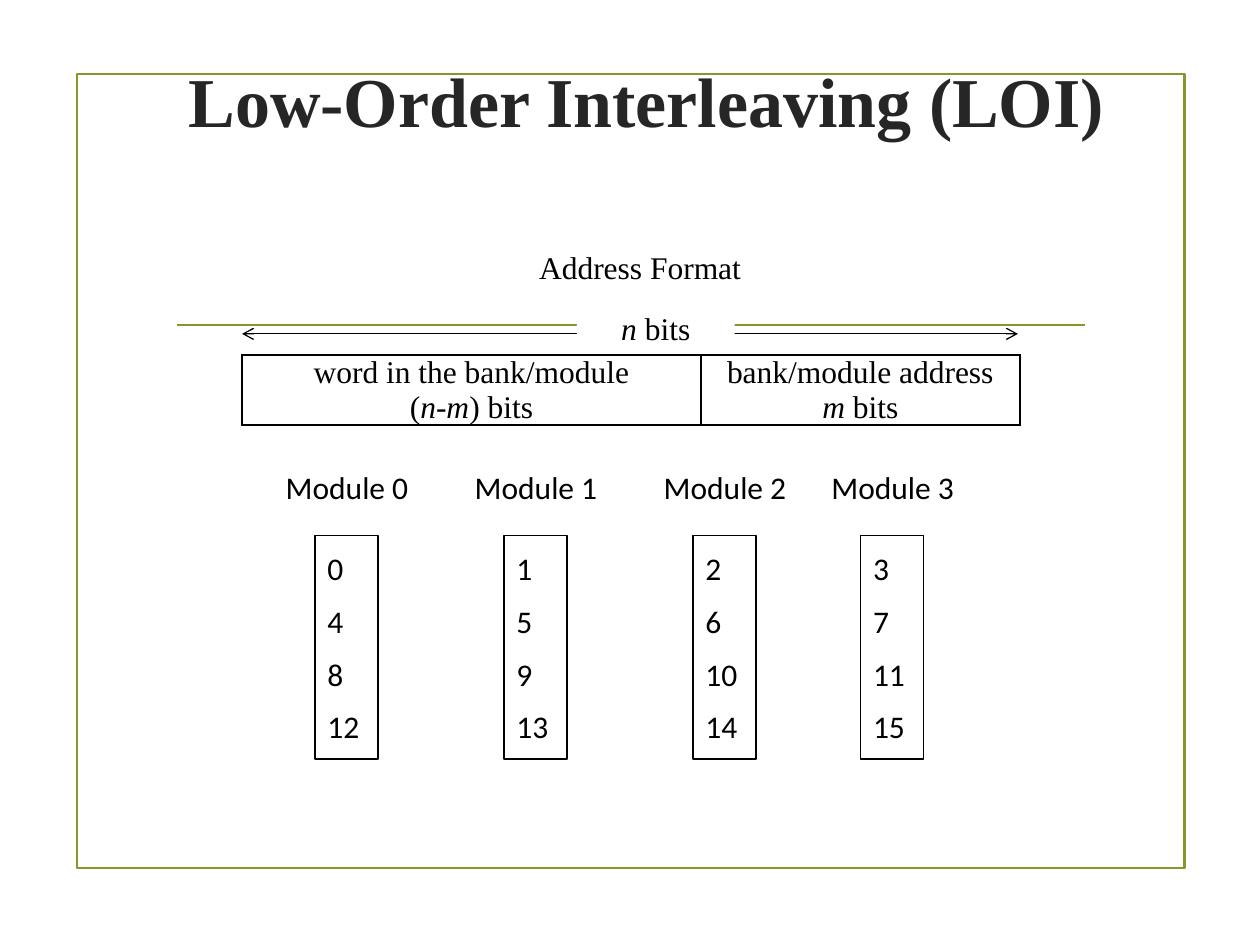
from lxml.etree import SubElement
from pptx import Presentation
from pptx.dml.color import RGBColor
from pptx.enum.shapes import MSO_CONNECTOR, MSO_SHAPE
from pptx.enum.text import MSO_ANCHOR, PP_ALIGN
from pptx.oxml import parse_xml
from pptx.oxml.ns import nsdecls, qn
from pptx.util import Cm, Pt

GREEN, BLACK, WHITE, DARK = "83992A", "000000", "FFFFFF", "262626"
SERIF, SANS = "Times New Roman", "Calibri"


def color(hex_value):
    return RGBColor.from_string(hex_value)


def write(frame, lines, face, align, gap=0):
    for number, line in enumerate(lines):
        paragraph = frame.paragraphs[0] if number == 0 else frame.add_paragraph()
        paragraph.alignment = align
        paragraph.space_before = Pt(gap)
        for words, italic in line:
            run = paragraph.add_run()
            run.text = words
            for key, value in {"name": face, "size": Pt(18), "italic": italic}.items():
                setattr(run.font, key, value)
            run.font.color.rgb = color(BLACK)


deck = Presentation()
deck.slide_width, deck.slide_height = Cm(25.4), Cm(19.05)
slide = deck.slides.add_slide(deck.slide_layouts[5])
shapes = slide.shapes

border = shapes.add_shape(MSO_SHAPE.RECTANGLE, Cm(1.55), Cm(1.5), Cm(22.33), Cm(16))
border.shadow.inherit = False
border.fill.background()
border.line.color.rgb = color(GREEN)
border.line.width = Pt(1.25)

rules = {}
for role, left, right, height, hue, weight in [
    ("divider", 3.56, 21.87, 6.55, GREEN, 1.25),
    ("address span", 4.88, 20.52, 6.73, BLACK, 0.75),
]:
    rule = shapes.add_connector(MSO_CONNECTOR.STRAIGHT, Cm(left), Cm(height), Cm(right), Cm(height))
    rule.line.color.rgb = color(hue)
    rule.line.width = Pt(weight)
    SubElement(rule._element.spPr, qn("a:effectLst"))
    rules[role] = rule
for end in ("headEnd", "tailEnd"):
    SubElement(rules["address span"].line._get_or_add_ln(), qn(f"a:{end}"), type="arrow")

title = shapes.title
for key, value in {"left": Cm(1.7), "top": Cm(0.64), "width": Cm(22.66), "height": Cm(2.74)}.items():
    setattr(title, key, value)
title.text_frame.text = "Low-Order Interleaving (LOI)"
title.text_frame.vertical_anchor = MSO_ANCHOR.MIDDLE
heading = title.text_frame.paragraphs[0]
heading.alignment = PP_ALIGN.CENTER
for key, value in {"name": SERIF, "size": Pt(40), "bold": True}.items():
    setattr(heading.font, key, value)
heading.font.color.rgb = color(DARK)

fields = [
    (9.25, [[("word in the bank/module", False)],
            [("(", False), ("n-m", True), (") bits", False)]]),
    (6.43, [[("bank/module address", False)],
            [("m", True), (" bits", False)]]),
]
address = shapes.add_table(1, 2, Cm(4.88), Cm(7.16), Cm(15.68), Cm(1.4)).table
address.first_row = address.horz_banding = False
for column, (width, lines) in enumerate(fields):
    address.columns[column].width = Cm(width)
    cell = address.cell(0, column)
    for key, value in {"margin_left": Cm(0.18), "margin_right": Cm(0.18),
                       "margin_top": 0, "margin_bottom": 0}.items():
        setattr(cell, key, value)
    write(cell.text_frame, lines, SERIF, PP_ALIGN.CENTER)
    for side in ("lnL", "lnR", "lnT", "lnB"):
        cell._tc.get_or_add_tcPr().append(parse_xml(
            f'<a:{side} {nsdecls("a")} w="{Pt(1)}"><a:solidFill>'
            f'<a:srgbClr val="{BLACK}"/></a:solidFill></a:{side}>'))
    cell.fill.background()

for module, left in enumerate([5.51, 9.32, 13.13, 16.51]):
    group = shapes.add_group_shape()
    label = group.shapes.add_textbox(Cm(left), Cm(9.32), Cm(3.18), Cm(1.02))
    label.text_frame.word_wrap = True
    write(label.text_frame, [[(f"Module {module}", False)]], SANS, PP_ALIGN.LEFT)
    bank = group.shapes.add_shape(
        MSO_SHAPE.RECTANGLE, Cm(left + 0.84), Cm(10.8), Cm(1.27), Cm(4.5))
    bank.shadow.inherit = False
    bank.fill.background()
    bank.line.color.rgb = color(BLACK)
    bank.line.width = Pt(0.75)
    bank.text_frame.word_wrap = False
    bank.text_frame.vertical_anchor = MSO_ANCHOR.MIDDLE
    words = [[(str(word), False)] for word in range(module, 16, 4)]
    write(bank.text_frame, words, SANS, PP_ALIGN.LEFT, 8.5)

for left, top, width, line in [
    (9.73, 4.88, 6.35, [("Address Format", False)]),
    (11.63, 6.1, 3.18, [("n", True), (" bits", False)]),
]:
    caption = shapes.add_textbox(Cm(left), Cm(top), Cm(width), Cm(1.02))
    caption.text_frame.word_wrap = True
    caption.fill.solid()
    caption.fill.fore_color.rgb = color(WHITE)
    write(caption.text_frame, [line], SERIF, PP_ALIGN.CENTER)

deck.save("out.pptx")
